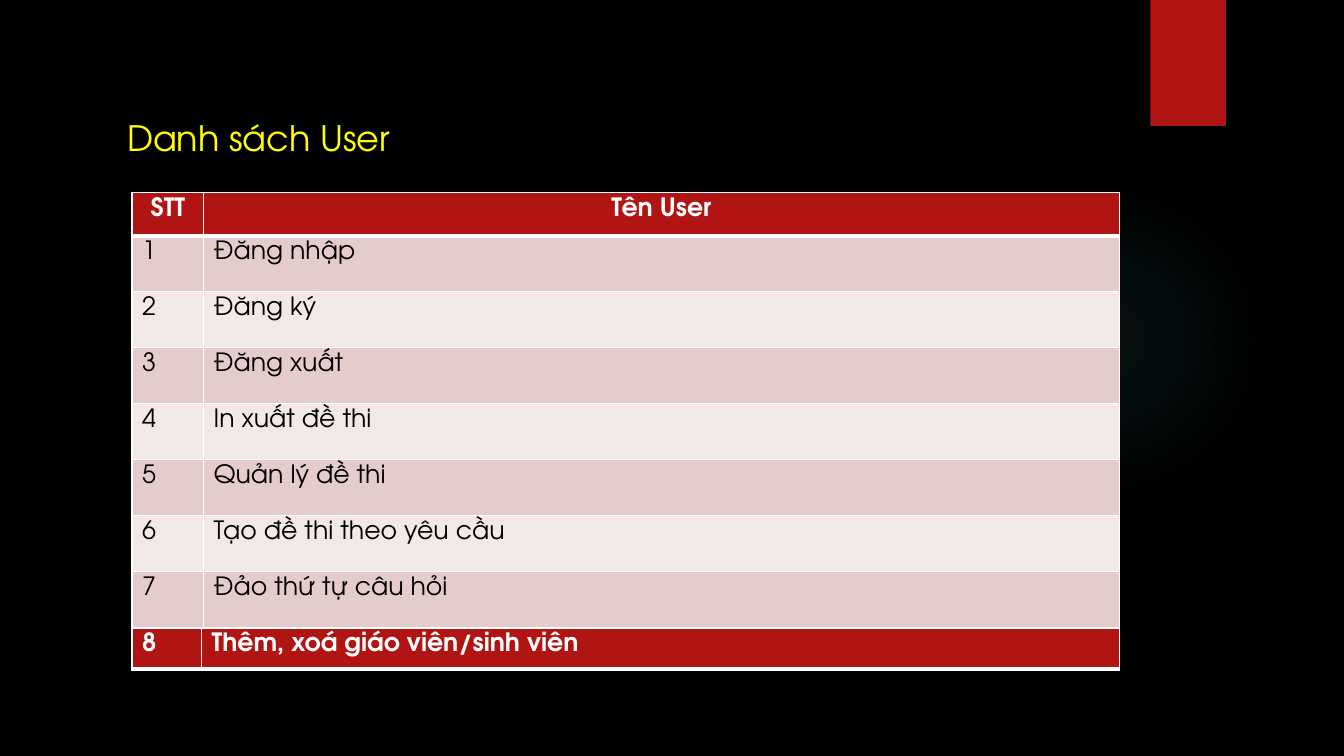
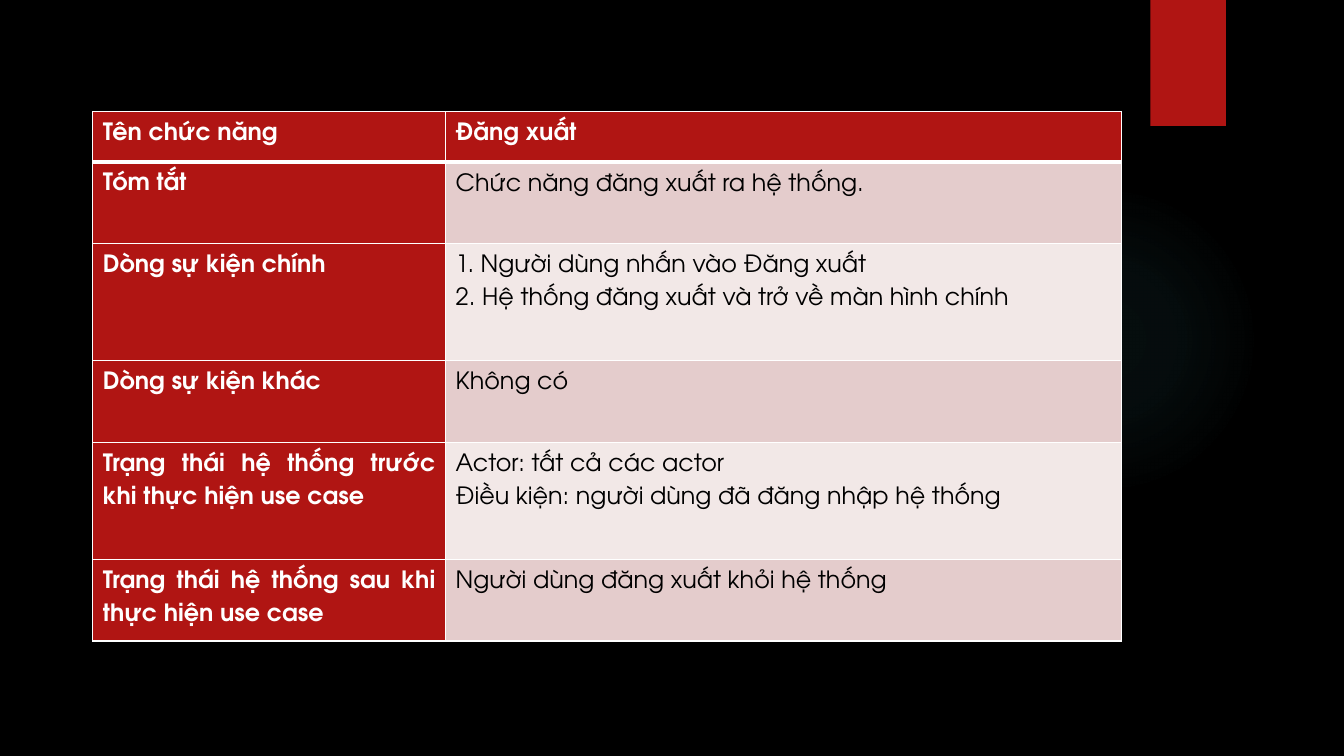
"""Builds two slides on the users and the log-out use case of an exam system."""
import pptx
import pptx.util
import pptx.dml.color
import pptx.enum.shapes
import pptx.enum.text
import pptx.oxml
from pptx.oxml.ns import nsdecls

Inches, Pt = pptx.util.Inches, pptx.util.Pt
RGB = pptx.dml.color.RGBColor
Shape = pptx.enum.shapes.MSO_SHAPE
Align = pptx.enum.text.PP_ALIGN

BLACK = RGB(0, 0, 0)
WHITE = RGB(0xFF, 0xFF, 0xFF)
YELLOW = RGB(0xFF, 0xFF, 0)
RED = RGB(0xB0, 0x15, 0x13)
BANDS = RGB(0xF2, 0xE8, 0xE7), RGB(0xE4, 0xCC, 0xCC)
GLOW = RGB(0x50, 0xB9, 0xC1)
FONT = "TeX Gyre Adventor"
THIN, THICK = 1, 3

TITLE = "Danh sách User"
HEADS = ("STT", "Tên User")
USERS = [
    "Đăng nhập",
    "Đăng ký",
    "Đăng xuất",
    "In xuất đề thi",
    "Quản lý đề thi",
    "Tạo đề thi theo yêu cầu",
    "Đảo thứ tự câu hỏi",
]
LAST = "Thêm, xoá giáo viên/sinh viên"
CASE = [
    ("Tên chức năng", "Đăng xuất"),
    ("Tóm tắt", "Chức năng đăng xuất ra hệ thống."),
    ("Dòng sự kiện chính",
     "1. Người dùng nhấn vào Đăng xuất\n2. Hệ thống đăng xuất và trở về màn hình chính"),
    ("Dòng sự kiện khác", "Không có"),
    ("Trạng thái hệ thống trước khi thực hiện use case",
     "Actor: tất cả các actor\nĐiều kiện: người dùng đã đăng nhập hệ thống"),
    ("Trạng thái hệ thống sau khi thực hiện use case",
     "Người dùng đăng xuất khỏi hệ thống"),
]


def style(para, size, color, bold=False):
    """Set the font of a paragraph."""
    font = para.font
    font.name, font.size, font.bold = FONT, Pt(size), bold
    font.color.rgb = color


def edge(cell, sides):
    """Draw white borders of the given widths, in left, right, top, bottom order."""
    props = cell._tc.get_or_add_tcPr()
    for spot, (side, width) in enumerate(zip("LRTB", sides)):
        props.insert(spot, pptx.oxml.parse_xml(
            f'<a:ln{side} {nsdecls("a")} w="{Pt(width)}"><a:solidFill>'
            f'<a:srgbClr val="{WHITE}"/></a:solidFill></a:ln{side}>'))


def grid(slide, left, top, cols, highs, rows, size, head=True, side=False,
         aligns=(None, None), space=None, pad=0.05, foot=THIN):
    """Add a table with a red head row and, if asked, a red side column."""
    frame = slide.shapes.add_table(
        len(rows), len(cols), Inches(left), Inches(top),
        Inches(sum(cols)), Inches(sum(highs)))
    table = frame.table
    table.first_row = table.horz_banding = False
    for col, width in zip(table.columns, cols):
        col.width = Inches(width)
    for r, (texts, high) in enumerate(zip(rows, highs)):
        table.rows[r].height = Inches(high)
        over = THICK if head and r == 1 else THIN
        under = THICK if head and r == 0 else foot
        for c, text in enumerate(texts):
            cell = table.cell(r, c)
            red = r == 0 or (side and c == 0)
            cell.text = text
            cell.margin_top = cell.margin_bottom = Inches(pad)
            cell.fill.solid()
            cell.fill.fore_color.rgb = RED if red else BANDS[r % 2]
            edge(cell, (THIN, THIN, over, under))
            for para in cell.text_frame.paragraphs:
                para.alignment = aligns[0 if r == 0 else 1]
                para.line_spacing = space
                style(para, size, WHITE if red else BLACK, red)


def stage(deck, layout):
    """Add a slide with the faint glow and the red tab."""
    slide = deck.slides.add_slide(deck.slide_layouts[layout])
    glow = slide.shapes.add_shape(
        Shape.OVAL, Inches(9.41), Inches(1.83), Inches(3.08), Inches(3.08))
    glow.shadow.inherit = False
    glow.line.fill.background()
    stops = "".join(
        f'<a:gs pos="{pos * 1000}"><a:srgbClr val="{GLOW}">'
        f'<a:alpha val="{alpha * 1000}"/></a:srgbClr></a:gs>'
        for pos, alpha in ((0, 7), (36, 6), (69, 0)))
    glow._element.spPr.insert(2, pptx.oxml.parse_xml(
        f'<a:gradFill {nsdecls("a")}><a:gsLst>{stops}</a:gsLst><a:path path="circle">'
        '<a:fillToRect l="50000" t="50000" r="50000" b="50000"/></a:path></a:gradFill>'))
    tab = slide.shapes.add_shape(
        Shape.RECTANGLE, Inches(11.41), 0, Inches(0.75), Inches(1.25))
    tab.fill.solid()
    tab.fill.fore_color.rgb = RED
    tab.line.fill.background()
    tab._element.spPr.append(pptx.oxml.parse_xml(
        f'<a:effectLst {nsdecls("a")}><a:outerShdw blurRad="{Pt(3)}" dist="{Pt(2)}" '
        f'dir="5400000"><a:srgbClr val="{BLACK}"><a:alpha val="45000"/></a:srgbClr>'
        '</a:outerShdw></a:effectLst>'))
    return slide


def users(deck):
    """Add the list of users."""
    slide = stage(deck, 5)
    title = slide.shapes.title
    title.left, title.top = Inches(1.16), Inches(1.1)
    title.width, title.height = Inches(7.12), Inches(0.52)
    title.text = TITLE
    frame = title.text_frame
    frame.auto_size = pptx.enum.text.MSO_AUTO_SIZE.NONE
    frame.vertical_anchor = pptx.enum.text.MSO_ANCHOR.BOTTOM
    frame.paragraphs[0].alignment = Align.LEFT
    style(frame.paragraphs[0], 25, YELLOW)
    rows = [HEADS] + [(str(n), name) for n, name in enumerate(USERS, 1)]
    grid(slide, 1.31, 1.91, (0.71, 9.08), [0.43] + [0.555] * len(USERS), rows, 18,
         aligns=(Align.CENTER, Align.LEFT))
    grid(slide, 1.31, 6.23, (0.69, 9.1), [0.41], [(str(len(rows)), LAST)], 18,
         head=False, foot=THICK)


def case(deck):
    """Add the log-out use case."""
    highs = [0.5] + [1.16 if "\n" in text else 0.81 for _, text in CASE[1:]]
    grid(stage(deck, 6), 0.92, 1.11, (3.5, 6.7), highs, CASE, 17, side=True,
         aligns=(Align.JUSTIFY, Align.JUSTIFY), space=1.5, pad=0)


def main():
    """Build and save the deck."""
    deck = pptx.Presentation()
    deck.slide_width, deck.slide_height = Inches(13.33), Inches(7.5)
    back = deck.slide_master.background.fill
    back.solid()
    back.fore_color.rgb = BLACK
    users(deck)
    case(deck)
    deck.save("out.pptx")


if __name__ == "__main__":
    main()
